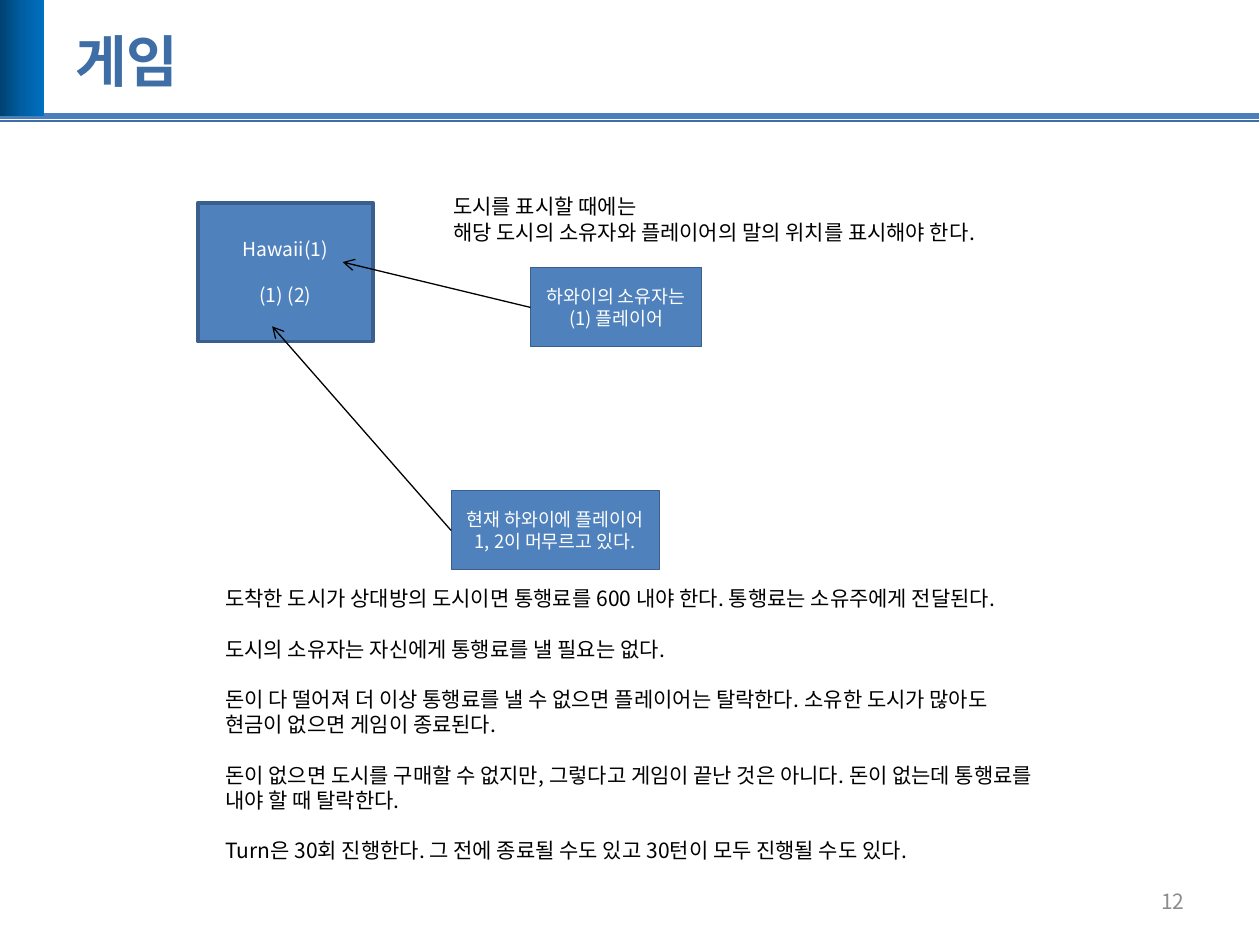
from copy import deepcopy
from dataclasses import dataclass

from lxml import etree
from pptx import Presentation
from pptx.dml.color import RGBColor
from pptx.enum import shapes, text
from pptx.oxml import ns
from pptx.util import Inches, Pt


@dataclass(frozen=True)
class Theme:
    font: str = "Noto Sans CJK KR"
    title: str = "3F6EA7"
    rule: str = "4B7EBC"
    box: str = "4F81BD"
    edge: str = "3A5F8C"
    light: str = "FFFFFF"
    dark: str = "000000"
    muted: str = "8C8C8C"
    band: tuple = ("004272", "005EA2", "0070C0")
    title_size: float = 32
    body_size: float = 12
    city_size: float = 11
    callout_size: float = 10.5
    leading: float = 1.2


@dataclass(frozen=True)
class Line:
    start: tuple
    end: tuple
    color: str
    width: float
    arrow: bool = False


@dataclass(frozen=True)
class Box:
    at: tuple
    blocks: list  # each block is a list of lines
    size: float
    edge_width: float


THEME = Theme()
CENTER = text.PP_ALIGN.CENTER
LEFT = text.PP_ALIGN.LEFT

prs = Presentation()
prs.slide_width, prs.slide_height = Inches(10), Inches(7.5)
slide = prs.slides.add_slide(prs.slide_layouts[6])


def rgb(value: str) -> RGBColor:
    return RGBColor.from_string(value)


def inches(values: tuple) -> list:
    return [Inches(v) for v in values]


def write(frame, blocks: list, size: float, color: str, align=LEFT,
          bold: bool = False, tight: bool = True) -> None:
    """Write blocks of lines, with one line of space between blocks."""
    leading = Pt(size * THEME.leading)
    paragraph = None
    for block_no, block in enumerate(blocks):
        for line_no, line in enumerate(block):
            paragraph = frame.add_paragraph() if paragraph else frame.paragraphs[0]
            paragraph.alignment = align
            if tight:
                paragraph.line_spacing = leading
            if block_no and not line_no:
                paragraph.space_before = leading
            run = paragraph.add_run()
            run.text = line
            run.font.name = THEME.font
            run.font.size = Pt(size)
            run.font.bold = bold
            run.font.color.rgb = rgb(color)
            east_asian = etree.SubElement(run.font._element, ns.qn("a:ea"))
            east_asian.set("typeface", THEME.font)


def add_text(at: tuple, blocks: list, size: float, color: str,
             wrap: bool = True, middle: bool = False, **style) -> None:
    frame = slide.shapes.add_textbox(*inches(at)).text_frame
    frame.word_wrap = wrap
    if middle:
        frame.vertical_anchor = text.MSO_ANCHOR.MIDDLE
    write(frame, blocks, size, color, **style)


def add_line(line: Line) -> None:
    connector = slide.shapes.add_connector(
        shapes.MSO_CONNECTOR.STRAIGHT, *inches(line.start + line.end))
    connector.line.color.rgb = rgb(line.color)
    connector.line.width = Pt(line.width)
    if line.arrow:
        tail = etree.SubElement(connector.line._get_or_add_ln(), ns.qn("a:tailEnd"))
        tail.set("type", "arrow")
    etree.SubElement(connector._element.spPr, ns.qn("a:effectLst"))


def add_rectangle(at: tuple):
    rectangle = slide.shapes.add_shape(shapes.MSO_SHAPE.RECTANGLE, *inches(at))
    rectangle.shadow.inherit = False
    return rectangle


def add_box(box: Box) -> None:
    rectangle = add_rectangle(box.at)
    rectangle.fill.solid()
    rectangle.fill.fore_color.rgb = rgb(THEME.box)
    rectangle.line.color.rgb = rgb(THEME.edge)
    rectangle.line.width = Pt(box.edge_width)
    rectangle.text_frame.word_wrap = True
    rectangle.text_frame.vertical_anchor = text.MSO_ANCHOR.MIDDLE
    write(rectangle.text_frame, box.blocks, box.size, THEME.light, align=CENTER)


def add_band(at: tuple) -> None:
    band = add_rectangle(at)
    band.line.fill.background()
    band.fill.gradient()
    band.fill.gradient_angle = 0
    stop_list = band._element.spPr.find(".//" + ns.qn("a:gsLst"))
    stop_list.insert(1, deepcopy(stop_list[0]))
    for number, (stop, color) in enumerate(zip(band.fill.gradient_stops, THEME.band)):
        stop.position = number / 2
        stop.color.rgb = rgb(color)


# Header
add_line(Line((-0.01, 0.92), (9.99, 0.92), THEME.rule, 3))
add_line(Line((-0.01, 0.96), (9.99, 0.96), THEME.title, 1))
add_band((0, 0, 0.35, 0.92))
add_text((0.5, 0.21, 9, 0.54), [["게임"]], THEME.title_size, THEME.title,
         middle=True, bold=True, tight=False)

# Page number
add_text((7.17, 6.95, 2.33, 0.4), [["12"]], THEME.body_size, THEME.muted,
         middle=True, align=text.PP_ALIGN.RIGHT, tight=False)

# Rules of the game
toll_rules = [
    ["도착한 도시가 상대방의 도시이면 통행료를 600 내야 한다. 통행료는 소유주에게 전달된다."],
    ["도시의 소유자는 자신에게 통행료를 낼 필요는 없다."],
    ["돈이 다 떨어져 더 이상 통행료를 낼 수 없으면 플레이어는 탈락한다. 소유한 도시가 많아도",
     "현금이 없으면 게임이 종료된다."],
    ["돈이 없으면 도시를 구매할 수 없지만, 그렇다고 게임이 끝난 것은 아니다. 돈이 없는데 통행료를",
     "내야 할 때 탈락한다."],
    ["Turn은 30회 진행한다. 그 전에 종료될 수도 있고 30턴이 모두 진행될 수도 있다."],
]
display_rule = [["도시를 표시할 때에는",
                 "해당 도시의 소유자와 플레이어의 말의 위치를 표시해야 한다."]]
add_text((1.69, 4.6, 6.96, 2.52), toll_rules, THEME.body_size, THEME.dark, wrap=False)
add_text((3.5, 1.49, 4.86, 0.71), display_rule, THEME.body_size, THEME.dark, wrap=False)

# City card and its callouts
for box in (
    Box((1.57, 1.61, 1.39, 1.1), [["Hawaii(1)"], ["(1) (2)"]], THEME.city_size, 2),
    Box((4.21, 2.12, 1.36, 0.63), [["하와이의 소유자는 (1) 플레이어"]],
        THEME.callout_size, 0.25),
    Box((3.58, 3.89, 1.65, 0.63), [["현재 하와이에 플레이어 1, 2이 머무르고 있다."]],
        THEME.callout_size, 0.25),
):
    add_box(box)

for arrow in (
    Line((4.21, 2.44), (2.72, 2.08), THEME.dark, 0.75, arrow=True),
    Line((3.58, 4.21), (2.16, 2.59), THEME.dark, 0.75, arrow=True),
):
    add_line(arrow)

prs.save("out.pptx")
